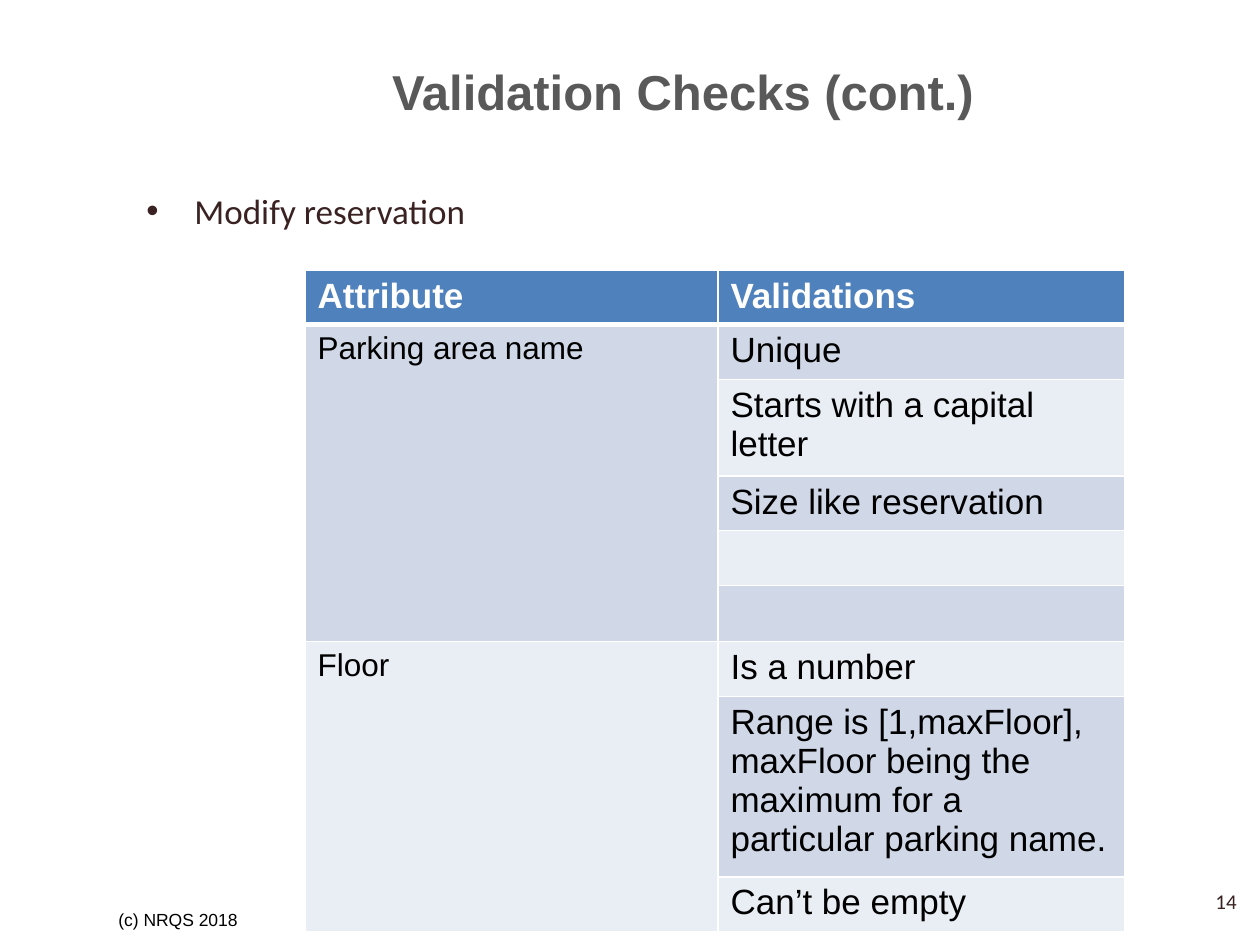
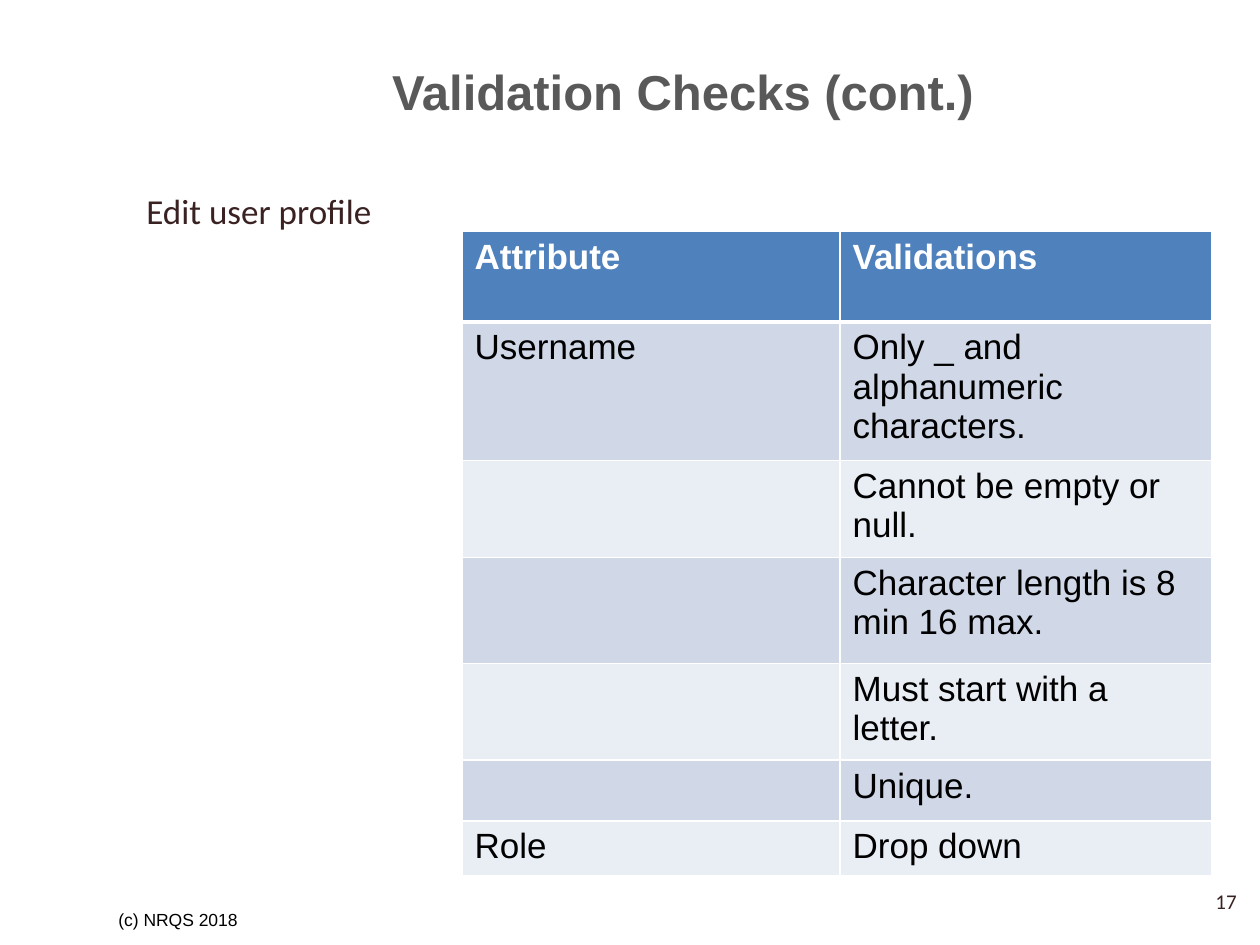
"""Build two validation-check slides, each with a topic and a table of rules."""
from dataclasses import dataclass

from lxml import etree
from pptx import Presentation
from pptx import util as u
from pptx.dml.color import RGBColor
from pptx.enum import text as t
from pptx.oxml import ns

PX_PER_INCH = 126
SLIDE_SIZE = (1260, 945)

WHITE = RGBColor(0xFF, 0xFF, 0xFF)
BLACK = RGBColor(0x00, 0x00, 0x00)
TITLE_GREY = RGBColor(0x59, 0x59, 0x59)
BROWN = RGBColor(0x3A, 0x22, 0x22)
HEADER_BLUE = RGBColor(0x4F, 0x81, 0xBD)
BANDS = (RGBColor(0xD0, 0xD8, 0xE8), RGBColor(0xE9, 0xED, 0xF4))

TITLE = "Validation Checks (cont.)"
FOOTER = "(c) NRQS 2018"
HEADERS = ("Attribute", "Validations")

TITLE_BOX = (116, 38, 1134, 106)
TOPIC_BOX = (134, 183, 1092, 668)
FOOTER_BOX = (106, 895, 294, 50)
NUMBER_BOX = (955, 876, 294, 50)
BULLET_INDENT = 48


@dataclass(frozen=True)
class Rule:
    """One table row below the header."""
    attribute: str
    validation: str
    height: int
    span: int = 1


@dataclass(frozen=True)
class CheckSlide:
    """What differs from slide to slide."""
    number: int
    topic: str
    bulleted: bool
    table_origin: tuple[int, int]
    column_widths: tuple[int, int]
    header_height: int
    attribute_size: int
    rules: tuple[Rule, ...]


CHECK_SLIDES = (
    CheckSlide(
        14, "Modify reservation", True, (305, 270), (413, 407), 51, 18,
        (
            Rule("Parking area name", "Unique", 52, span=5),
            Rule("", "Starts with a capital letter", 91),
            Rule("", "Size like reservation", 52),
            Rule("", "", 55),
            Rule("", "", 56),
            Rule("Floor", "Is a number", 52, span=3),
            Rule("", "Range is [1,maxFloor], maxFloor being the maximum "
                     "for a particular parking name.", 169),
            Rule("", "Can’t be empty", 51),
        ),
    ),
    CheckSlide(
        17, "Edit user profile", False, (462, 231), (378, 372), 91, 20,
        (
            Rule("Username", "Only _ and alphanumeric characters.", 130),
            Rule("", "Cannot be empty or null.", 91),
            Rule("", "Character length is 8 min 16 max.", 106),
            Rule("", "Must start with a letter.", 91),
            Rule("", "Unique.", 61),
            Rule("Role", "Drop down", 51),
        ),
    ),
)


def px(length: int) -> u.Emu:
    """Turn pixels into EMU."""
    return u.Emu(round(length * 914400 / PX_PER_INCH))


def write(frame, content: str, *, size: int, color: RGBColor,
          font: str = "Arial", bold: bool = False,
          align=t.PP_ALIGN.LEFT, anchor=t.MSO_ANCHOR.TOP):
    """Put one formatted paragraph in a text frame and return it."""
    frame.word_wrap = True
    frame.vertical_anchor = anchor
    paragraph = frame.paragraphs[0]
    paragraph.alignment = align
    run = paragraph.add_run()
    run.text = content
    run.font.name = font
    run.font.size = u.Pt(size)
    run.font.bold = bold
    run.font.color.rgb = color
    return paragraph


def add_text(slide, box: tuple[int, int, int, int], content: str, **text_format):
    """Add a text box and return its paragraph."""
    shape = slide.shapes.add_textbox(*map(px, box))
    return write(shape.text_frame, content, **text_format)


def add_bullet(paragraph) -> None:
    """Give a paragraph a round bullet with a hanging indent."""
    properties = paragraph._p.get_or_add_pPr()
    properties.set("marL", str(px(BULLET_INDENT)))
    properties.set("indent", str(-px(BULLET_INDENT)))
    etree.SubElement(properties, ns.qn("a:buFont"), typeface="Arial")
    etree.SubElement(properties, ns.qn("a:buChar"), char="•")


def style_cell(cell, row: int) -> None:
    """Set white borders and the fill of the row's band."""
    properties = cell._tc.get_or_add_tcPr()
    widths = {"L": 1, "R": 1, "T": 3 if row == 1 else 1, "B": 1 if row else 3}
    for side, points in widths.items():
        line = etree.SubElement(properties, ns.qn(f"a:ln{side}"), w=str(u.Pt(points)))
        fill = etree.SubElement(line, ns.qn("a:solidFill"))
        etree.SubElement(fill, ns.qn("a:srgbClr"), val=str(WHITE))
    cell.fill.solid()
    cell.fill.fore_color.rgb = BANDS[(row - 1) % 2] if row else HEADER_BLUE


def add_rules_table(slide, check: CheckSlide) -> None:
    """Add the table of attributes and validations."""
    heights = [check.header_height, *(rule.height for rule in check.rules)]
    size = (sum(check.column_widths), sum(heights))
    table = slide.shapes.add_table(
        len(heights), len(HEADERS), *map(px, check.table_origin + size)).table
    for column, width in zip(table.columns, check.column_widths):
        column.width = px(width)
    for row, height in zip(table.rows, heights):
        row.height = px(height)

    contents = [HEADERS, *((rule.attribute, rule.validation) for rule in check.rules)]
    for row, values in enumerate(contents):
        for column, value in enumerate(values):
            cell = table.cell(row, column)
            style_cell(cell, row)
            if value:
                is_attribute = row > 0 and column == 0
                write(cell.text_frame, value,
                      size=check.attribute_size if is_attribute else 20,
                      color=BLACK if row else WHITE, bold=row == 0)

    for row, rule in enumerate(check.rules, start=1):
        if rule.span > 1:
            table.cell(row, 0).merge(table.cell(row + rule.span - 1, 0))


def add_title(slide) -> None:
    """Place and format the title placeholder."""
    title = slide.shapes.title
    title.left, title.top, title.width, title.height = map(px, TITLE_BOX)
    write(title.text_frame, TITLE, size=28, color=TITLE_GREY, bold=True,
          align=t.PP_ALIGN.CENTER, anchor=t.MSO_ANCHOR.MIDDLE)


def add_check_slide(presentation, check: CheckSlide) -> None:
    """Add one slide with its title, topic, table and footer."""
    slide = presentation.slides.add_slide(presentation.slide_layouts[5])
    add_title(slide)
    add_text(slide, FOOTER_BOX, FOOTER, size=10, color=BLACK,
             anchor=t.MSO_ANCHOR.MIDDLE)
    add_text(slide, NUMBER_BOX, str(check.number), size=12, color=BROWN,
             font="Calibri", align=t.PP_ALIGN.RIGHT, anchor=t.MSO_ANCHOR.MIDDLE)
    topic = add_text(slide, TOPIC_BOX, check.topic, size=20, color=BROWN,
                     font="Calibri")
    if check.bulleted:
        add_bullet(topic)
    add_rules_table(slide, check)


def main() -> None:
    """Build and save the presentation."""
    presentation = Presentation()
    presentation.slide_width, presentation.slide_height = map(px, SLIDE_SIZE)
    for check in CHECK_SLIDES:
        add_check_slide(presentation, check)
    presentation.save("out.pptx")


if __name__ == "__main__":
    main()
